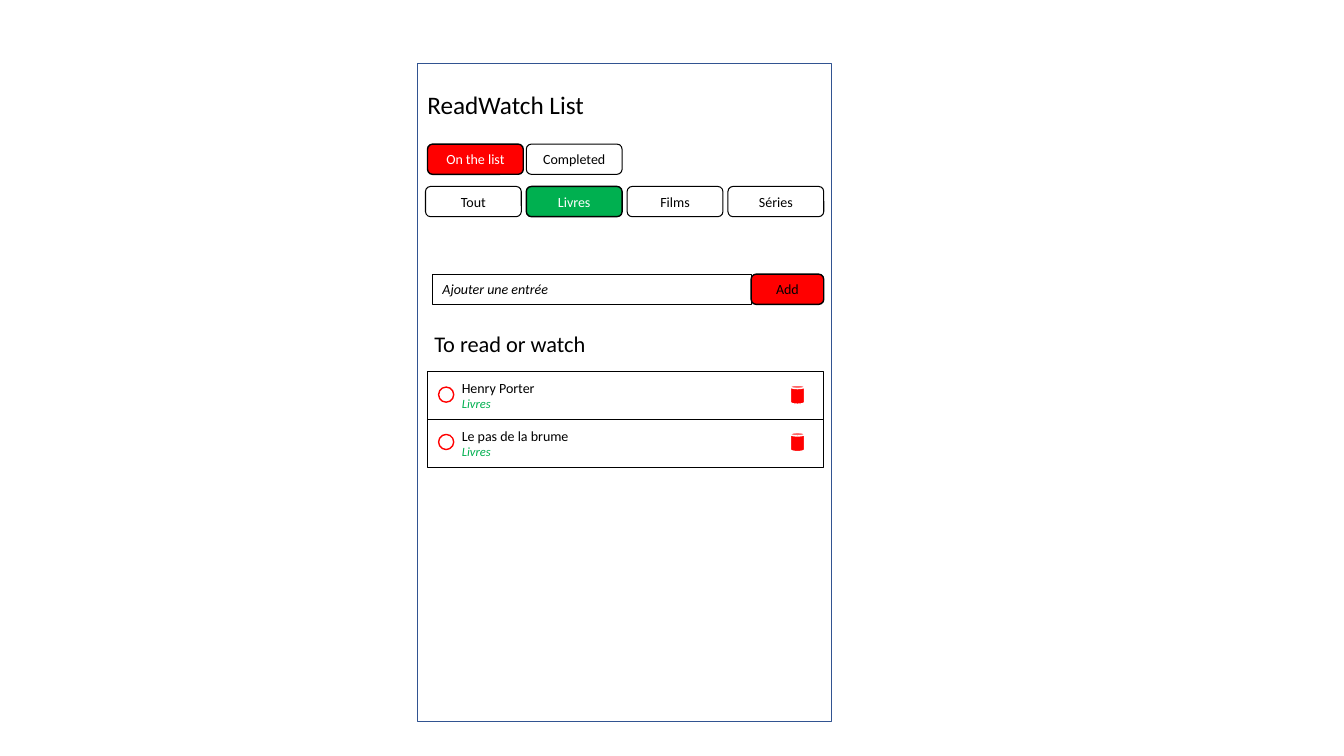
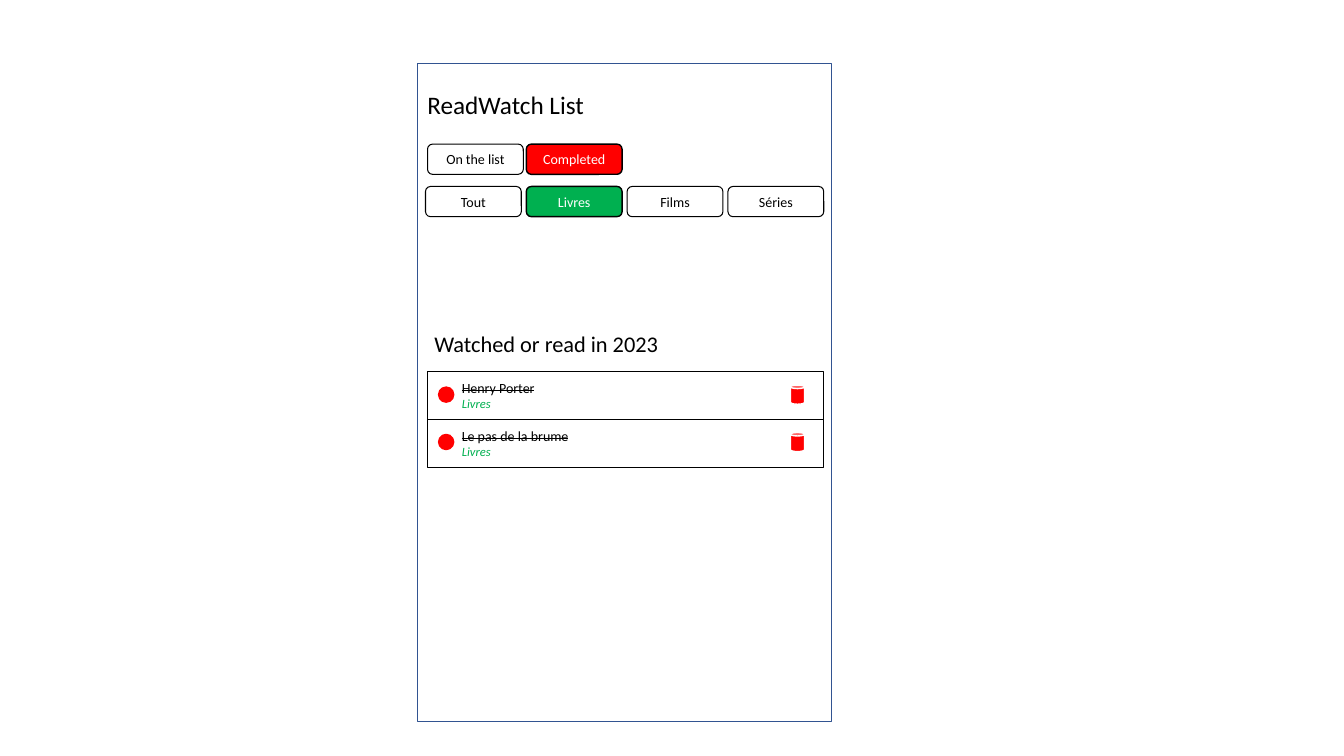
from dataclasses import dataclass

from pptx import Presentation
from pptx.dml.color import RGBColor
from pptx.enum.shapes import MSO_SHAPE
from pptx.enum.text import MSO_ANCHOR, MSO_AUTO_SIZE, PP_ALIGN
from pptx.util import Inches, Pt


@dataclass(frozen=True)
class Theme:
    font: str = "Calibri"
    black: str = "000000"
    white: str = "FFFFFF"
    red: str = "FF0000"
    green: str = "00B050"
    frame: str = "325491"
    title: int = 18
    heading: int = 16
    body: int = 10
    small: int = 9


T = Theme()


def write(p, text, size=T.body, color=T.black, italic=False, strike=False):
    """Add one formatted run to a paragraph."""
    r = p.add_run()
    r.text = text
    r.font.name = T.font
    r.font.size = Pt(size)
    r.font.italic = italic
    r.font.color.rgb = RGBColor.from_string(color)
    if strike:
        r._r.get_or_add_rPr().set("strike", "sngStrike")


class Screen:
    """One phone screen of the app, drawn on a blank slide."""

    LEFT, WIDTH = 4.24, 3.93
    BUTTON_W, BUTTON_H = 0.95, 0.3
    ROW_TOP, ROW_H = 3.68, 0.48
    MARK_STEP = 0.47

    def __init__(self, prs):
        self.s = prs.slides.add_slide(prs.slide_layouts[6])

    def shape(self, kind, x, y, w, h, fill=None, line=T.black, weight=1):
        sp = self.s.shapes.add_shape(kind, Inches(x), Inches(y), Inches(w), Inches(h))
        sp.shadow.inherit = False
        if fill:
            sp.fill.solid()
            sp.fill.fore_color.rgb = RGBColor.from_string(fill)
        else:
            sp.fill.background()
        sp.line.color.rgb = RGBColor.from_string(line)
        sp.line.width = Pt(weight)
        sp.text_frame.vertical_anchor = MSO_ANCHOR.MIDDLE
        return sp

    def label(self, text, x, y, w, h, size):
        sp = self.s.shapes.add_textbox(Inches(x), Inches(y), Inches(w), Inches(h))
        tf = sp.text_frame
        tf.word_wrap = True
        tf.auto_size = MSO_AUTO_SIZE.SHAPE_TO_FIT_TEXT
        write(tf.paragraphs[0], text, size=size)

    def button(self, text, x, y, w=BUTTON_W, fill=None, color=T.black):
        sp = self.shape(MSO_SHAPE.ROUNDED_RECTANGLE, x, y, w, self.BUTTON_H,
                        fill=fill, weight=1 if fill else 0.75)
        p = sp.text_frame.paragraphs[0]
        p.alignment = PP_ALIGN.CENTER
        write(p, text, color=color)

    def tabs(self, names, active, x, y, step, fill):
        for i, name in enumerate(names):
            style = dict(fill=fill, color=T.white) if name == active else {}
            self.button(name, x + i * step, y, **style)

    def entry_field(self, hint, action):
        sp = self.shape(MSO_SHAPE.RECTANGLE, 4.29, 2.72, 3.16, self.BUTTON_H, weight=0.75)
        p = sp.text_frame.paragraphs[0]
        p.alignment = PP_ALIGN.LEFT
        write(p, hint, italic=True)
        self.button(action, 7.45, 2.72, w=0.72, fill=T.red)

    def row(self, i, title, category, done):
        sp = self.shape(MSO_SHAPE.RECTANGLE, self.LEFT, self.ROW_TOP + i * self.ROW_H,
                        self.WIDTH, self.ROW_H, weight=0.5)
        tf = sp.text_frame
        tf.margin_left = Inches(0.34)
        write(tf.paragraphs[0], title, strike=done)
        write(tf.add_paragraph(), category, size=T.small, color=T.green, italic=True)
        for p in tf.paragraphs:
            p.alignment = PP_ALIGN.LEFT
        # Check mark and bin
        dy = i * self.MARK_STEP
        self.shape(MSO_SHAPE.OVAL, 4.35, 3.84 + dy, 0.15, 0.15,
                   fill=T.red if done else None, line=T.red)
        self.shape(MSO_SHAPE.CAN, 7.84, 3.82 + dy, 0.14, 0.19, fill=T.red, line=T.white)

    def base(self, tab, heading, done):
        # Frame, title and filters
        self.shape(MSO_SHAPE.RECTANGLE, 4.14, 0.63, 4.11, 6.53, line=T.frame)
        self.label("ReadWatch List", 4.14, 0.84, 2.19, 0.4, T.title)
        self.tabs(["On the list", "Completed"], tab, self.LEFT, 1.43, 0.98, T.red)
        self.tabs(["Tout", "Livres", "Films", "Séries"], "Livres", 4.22, 1.85, 1.0, T.green)
        # List
        self.label(heading, 4.21, 3.23, self.WIDTH, 0.37, T.heading)
        for i, title in enumerate(["Henry Porter", "Le pas de la brume"]):
            self.row(i, title, "Livres", done)


prs = Presentation()
prs.slide_width, prs.slide_height = Inches(13.33), Inches(7.5)

# Slide 1: entries still to read or watch
todo = Screen(prs)
todo.base("On the list", "To read or watch", done=False)
todo.entry_field("Ajouter une entrée", "Add")

# Slide 2: completed entries
completed = Screen(prs)
completed.base("Completed", "Watched or read in 2023", done=True)

prs.save("out.pptx")
